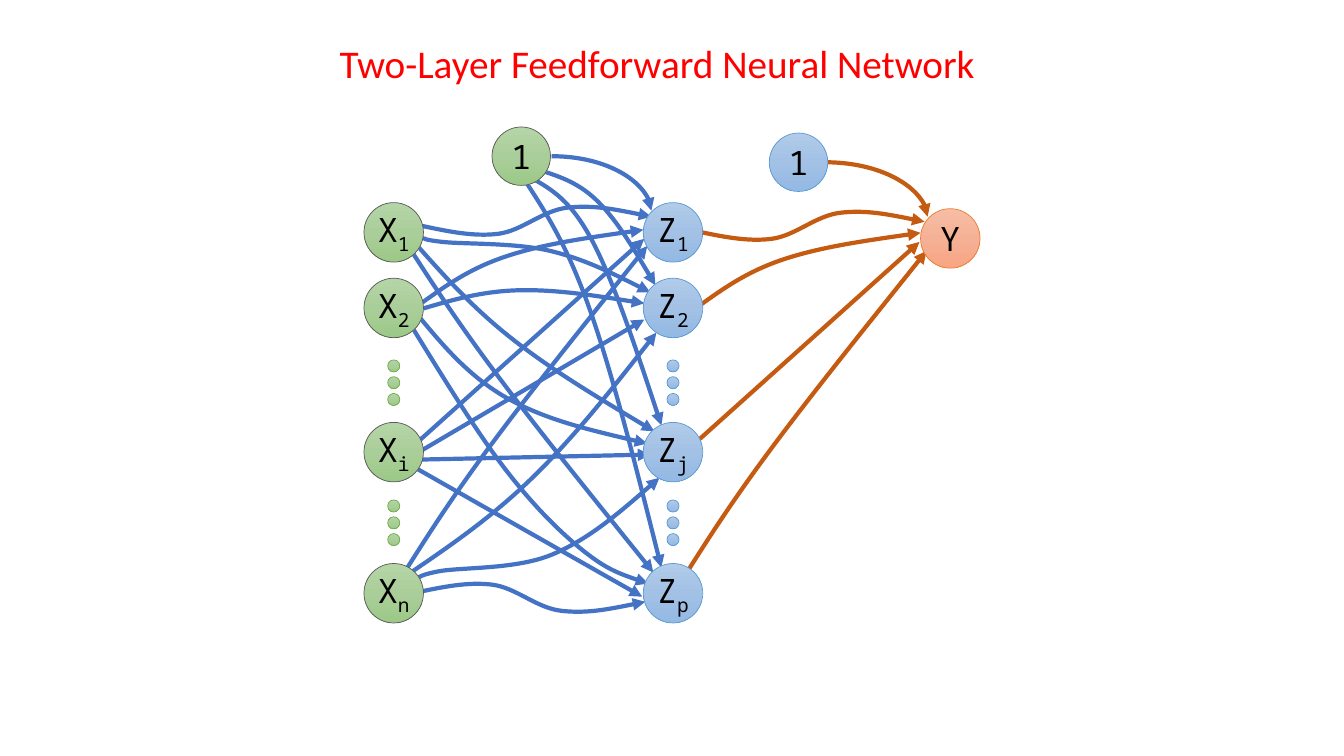
import copy

import lxml.etree
import pptx
import pptx.dml.color
import pptx.enum.shapes
import pptx.enum.text
import pptx.oxml.ns
import pptx.util

Inches = pptx.util.Inches
Pt = pptx.util.Pt
qn = pptx.oxml.ns.qn
CONNECTOR = pptx.enum.shapes.MSO_CONNECTOR

COLORS = {
    "title": "FF0000", "text": "000000",
    "hidden_link": "4472C4", "output_link": "C55A11",
    "input_line": "595959", "input_dot": "70AD47",
    "hidden_line": "5B9BD5", "output_line": "ED7D31",
    "input_top": "B5D5A7", "input_middle": "AACE9A", "input_bottom": "9CC987",
    "hidden_top": "B1CBE9", "hidden_middle": "A3C1E5", "hidden_bottom": "93B9E4",
    "output_top": "F7BDA5", "output_middle": "F5B196", "output_bottom": "F8A582",
}


def rgb(name):
    return pptx.dml.color.RGBColor.from_string(COLORS[name])


def bezier_controls(points):
    """Control points of a smooth curve through the given points."""
    tangents = [tuple((c - a) / 6 for a, c in zip(before, after))
                for before, after in zip(points, points[2:])]
    leaving = [tuple(p + t for p, t in zip(point, tangent))
               for point, tangent in zip(points[1:], tangents)]
    arriving = [tuple(p - t for p, t in zip(point, tangent))
                for point, tangent in zip(points[1:], tangents)]
    # The outer controls lie halfway between an end and its neighbour
    leaving.insert(0, middle(points[0], arriving[0]))
    arriving.append(middle(leaving[-1], points[-1]))
    return [control for step in zip(leaving, arriving, points[1:])
            for control in step]


def middle(a, b):
    return tuple((u + v) / 2 for u, v in zip(a, b))


class NetworkSlide:
    label_font = "Noto Sans Mono"
    title_font = "Calibri"

    def __init__(self, deck):
        self.shapes = deck.slides.add_slide(deck.slide_layouts[6]).shapes

    def title(self, text, left, top, width, height):
        box = self.shapes.add_textbox(*map(Inches, (left, top, width, height)))
        frame = box.text_frame
        frame.word_wrap = False
        frame.auto_size = pptx.enum.text.MSO_AUTO_SIZE.SHAPE_TO_FIT_TEXT
        frame.text = text
        font = frame.paragraphs[0].runs[0].font
        font.name, font.size = self.title_font, Pt(28)
        font.color.rgb = rgb("title")

    def circle(self, left, top, size, layer, line):
        circle = self.shapes.add_shape(
            pptx.enum.shapes.MSO_SHAPE.OVAL,
            *map(Inches, (left, top, size, size)))
        circle.shadow.inherit = False
        circle.fill.gradient()
        circle.fill.gradient_angle = 270
        stop_list = circle.element.xpath(".//a:gsLst")[0]
        stop_list.append(copy.deepcopy(stop_list[0]))
        for i, part in enumerate(("top", "middle", "bottom")):
            stop = circle.fill.gradient_stops[i]
            stop.position = i / 2
            stop.color.rgb = rgb(f"{layer}_{part}")
        circle.line.color.rgb = rgb(line)
        circle.line.width = Pt(0.5)
        return circle

    def node(self, left, top, size, layer, letter, index=""):
        frame = self.circle(left, top, size, layer, layer + "_line").text_frame
        frame.margin_left = frame.margin_right = 0
        frame.margin_top = frame.margin_bottom = 0
        frame.vertical_anchor = pptx.enum.text.MSO_ANCHOR.MIDDLE
        frame.word_wrap = True
        paragraph = frame.paragraphs[0]
        paragraph.alignment = pptx.enum.text.PP_ALIGN.CENTER
        for text in filter(None, (letter, index)):
            run = paragraph.add_run()
            run.text = text
            run.font.name, run.font.size = self.label_font, Pt(24)
            run.font.color.rgb = rgb("text")
            if text == index:
                run.font._element.set("baseline", "-25000")

    def style_link(self, link, color):
        link.line.color.rgb = rgb(color)
        link.line.width = Pt(3)
        properties = link.element.spPr
        arrow = lxml.etree.SubElement(properties.find(qn("a:ln")), qn("a:tailEnd"))
        arrow.set("type", "triangle")
        lxml.etree.SubElement(properties, qn("a:effectLst"))

    def bend(self, color, *ends):
        link = self.shapes.add_connector(CONNECTOR.CURVE, *map(Inches, ends))
        link.element.xpath(".//a:prstGeom")[0].set("prst", "curvedConnector2")
        self.style_link(link, color)

    def link(self, color, points):
        """A straight arrow for two points, a smooth curve for more."""
        if len(points) == 2:
            ends = [Inches(length) for point in points for length in point]
            link = self.shapes.add_connector(CONNECTOR.STRAIGHT, *ends)
        else:
            link = self.curve(points)
        self.style_link(link, color)

    def curve(self, points):
        builder = self.shapes.build_freeform(*map(Inches, points[0]), scale=1.0)
        builder.add_line_segments(
            [tuple(map(Inches, point)) for point in bezier_controls(points)],
            close=False)
        curve = builder.convert_to_shape()
        steps = curve.element.xpath(".//a:lnTo")
        for i in range(0, len(steps), 3):
            bezier = lxml.etree.Element(qn("a:cubicBezTo"))
            steps[i].addprevious(bezier)
            for step in steps[i:i + 3]:
                bezier.append(step[0])
                step.getparent().remove(step)
        curve.fill.background()
        return curve


# Points each link into the hidden layer passes through
HIDDEN_LINKS = {
    "Xi-Z1": [(4.16, 4.37), (6.39, 2.37)],
    "Xi-Z2": [(4.18, 4.47), (6.39, 3.17)],
    "Xi-Zj": [(4.14, 4.56), (6.45, 4.51)],
    "Xi-Zp": [(4.1, 4.63), (6.37, 5.92)],
    "1-Z2": [(5.39, 1.7), (5.94, 2.01), (6.5, 2.83)],
    "1-Zj": [(5.28, 1.77), (5.88, 2.4), (6.56, 4.22)],
    "1-Zp": [(5.2, 1.78), (5.85, 3.07), (6.56, 5.63)],
    "X1-Z1": [(4.18, 2.24), (4.94, 2.32), (5.63, 2.06), (6.46, 2.15)],
    "X1-Z2": [(4.21, 2.35), (4.39, 2.4), (5.46, 2.49), (6.45, 2.9)],
    "X1-Zj": [(4.15, 2.45), (5.09, 3.37), (6.49, 4.28)],
    "X1-Zp": [(4.1, 2.52), (4.96, 3.76), (6.48, 5.68)],
    "X2-Z1": [(4.19, 3), (5.03, 2.54), (6.38, 2.28)],
    "X2-Z2": [(4.2, 3.06), (5.15, 2.88), (6.39, 3.01)],
    "X2-Zj": [(4.13, 3.11), (5.03, 3.95), (6.42, 4.4)],
    "X2-Zp": [(4.09, 3.25), (5, 4.64), (5.78, 5.46), (6.43, 5.79)],
    "Xn-Zj": [(4.15, 5.77), (4.34, 5.67), (5.48, 5.5), (6.54, 4.74)],
    "Xn-Z2": [(4.03, 5.71), (5.28, 4.74), (6.51, 3.3)],
    "Xn-Z1": [(4.01, 5.68), (4.88, 4.4), (6.42, 2.44)],
}
# The last link mirrors the first one
HIDDEN_LINKS["Xn-Zp"] = [(x - 0.06, 8.12 - y) for x, y in HIDDEN_LINKS["X1-Z1"]]
# Links into Y run like those into Z1, shifted by one layer
OUTPUT_SHIFTS = {"Xi-Z1": (2.73, 0.03), "X1-Z1": (2.71, 0.05),
                 "X2-Z1": (2.75, 0.03), "Xn-Z1": (2.77, 0.05)}

NODE, BIAS, DOT = 0.59, 0.58, 0.12
ROWS = (2.01, 2.76, 4.19, 5.59)
LAYERS = (("input", 3.61, "X", "12in", "input_dot"),
          ("hidden", 6.38, "Z", "12jp", "hidden_line"))


def main():
    deck = pptx.Presentation()
    deck.slide_width, deck.slide_height = Inches(13.33), Inches(7.5)
    network = NetworkSlide(deck)

    # Dots for the omitted nodes
    for layer, left, _, _, dot_line in LAYERS:
        for top in (3.57, 4.96):
            for i in range(3):
                network.circle(left + (NODE - DOT) / 2, top + i / 6,
                               DOT, layer, dot_line)

    # Links
    for points in HIDDEN_LINKS.values():
        network.link("hidden_link", points)
    for name, (right, down) in OUTPUT_SHIFTS.items():
        network.link("output_link",
                     [(x + right, y + down) for x, y in HIDDEN_LINKS[name]])
    network.bend("hidden_link", 5.47, 1.55, 6.46, 2.09)
    network.bend("output_link", 8.18, 1.61, 9.2, 2.15)

    # Nodes
    for layer, left, letter, indices, _ in LAYERS:
        for top, index in zip(ROWS, indices):
            network.node(left, top, NODE, layer, letter, index)
    network.node(4.88, 1.26, BIAS, "input", "1")
    network.node(7.63, 1.32, BIAS, "hidden", "1")
    network.node(9.13, 2.07, NODE, "output", "Y")

    network.title("Two-Layer Feedforward Neural Network", 3.27, 0.34, 6.57, 0.57)
    deck.save("out.pptx")


if __name__ == "__main__":
    main()
